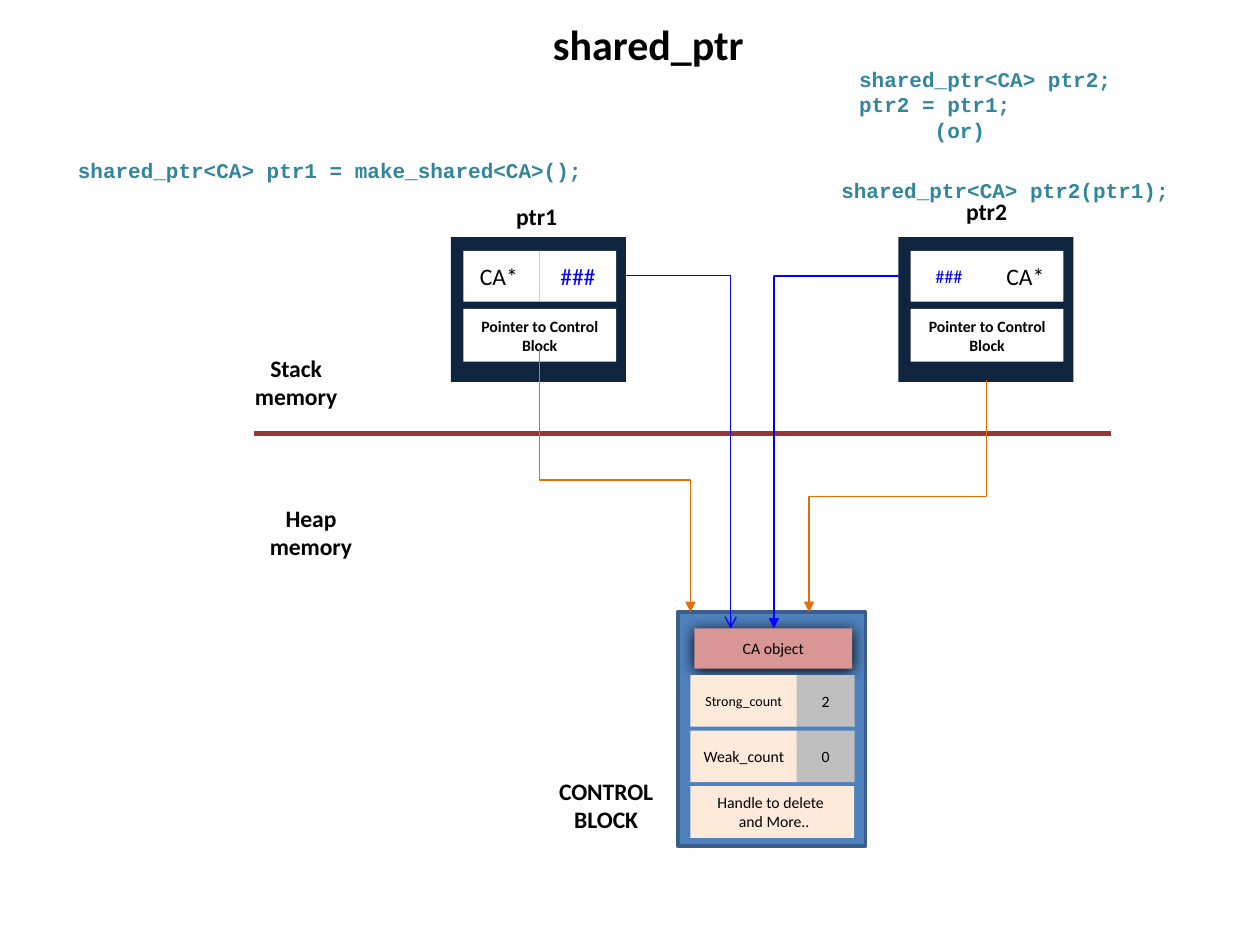
from lxml import etree
from pptx import Presentation
from pptx import util as u
from pptx.dml.color import RGBColor
from pptx.enum import shapes, text
from pptx.oxml import ns

HUE = {
    "navy": "0F243E", "white": "FFFFFF", "black": "000000", "blue": "0000FF",
    "steel": "4F81BD", "edge": "3A5F8C", "rose": "D99694", "peach": "FDEADA",
    "gray": "BFBFBF", "wine": "953735", "orange": "E46C0A", "teal": "31859C",
}


def rgb(hue):
    return RGBColor.from_string(HUE[hue])


def sub(node, tag, **attrs):
    return etree.SubElement(node, ns.qn(tag), **attrs)


def write(frame, lines, size, hue, bold=False, face="Calibri", align="CENTER"):
    frame.word_wrap = True
    for i, line in enumerate(lines):
        para = frame.paragraphs[0] if i == 0 else frame.add_paragraph()
        para.text = line
        para.alignment = text.PP_ALIGN[align]
        para.font.name, para.font.size = face, u.Pt(size)
        para.font.bold = bold
        para.font.color.rgb = rgb(hue)


def box(slide, x, y, w, h, fill, lines=(), size=9, hue="black", bold=False):
    rect = slide.shapes.add_shape(shapes.MSO_SHAPE.RECTANGLE,
                                  u.Cm(x), u.Cm(y), u.Cm(w), u.Cm(h))
    rect.shadow.inherit = False
    rect.fill.solid()
    rect.fill.fore_color.rgb = rgb(fill)
    rect.line.fill.background()
    frame = rect.text_frame
    frame.margin_left = frame.margin_right = u.Cm(0.1)
    frame.margin_top = frame.margin_bottom = u.Cm(0.05)
    frame.vertical_anchor = text.MSO_ANCHOR.MIDDLE
    write(frame, lines, size, hue, bold)
    return rect


def label(slide, x, y, w, h, line, size=13.5):
    area = slide.shapes.add_textbox(u.Cm(x), u.Cm(y), u.Cm(w), u.Cm(h))
    write(area.text_frame, [line], size, "black", True)


def code(slide, x, y, w, h, *lines):
    area = slide.shapes.add_textbox(u.Cm(x), u.Cm(y), u.Cm(w), u.Cm(h))
    write(area.text_frame, lines, 12, "teal", True, "Courier New", "LEFT")


def link(slide, kind, x1, y1, x2, y2, hue, width=0.75, head=None):
    line = slide.shapes.add_connector(kind, u.Cm(x1), u.Cm(y1),
                                      u.Cm(x2), u.Cm(y2))
    line.line.color.rgb = rgb(hue)
    line.line.width = u.Pt(width)
    props = line._element.spPr
    if head:
        sub(props.find(ns.qn("a:ln")), "a:tailEnd", type=head)
    sub(props, "a:effectLst")
    return props


def straight(slide, *args, **opts):
    link(slide, shapes.MSO_CONNECTOR.STRAIGHT, *args, **opts)


def elbow(slide, x1, y1, x2, y2, hue, bend=50000):
    """Run down, across and down: an elbow turned a quarter round its centre."""
    long, wide = y2 - y1, abs(x2 - x1)
    left, top = (x1 + x2 - long) / 2, (y1 + y2 - wide) / 2
    props = link(slide, shapes.MSO_CONNECTOR.ELBOW, left, top,
                 left + long, top + wide, hue, head="triangle")
    frame = props.find(ns.qn("a:xfrm"))
    right = x2 > x1
    frame.set("rot", str((270 if right else 90) * 60000))
    if right:
        frame.set("flipH", "1")
    geom = props.find(ns.qn("a:prstGeom"))
    guides = geom.find(ns.qn("a:avLst"))
    sub(guides, "a:gd", name="adj1", fmla=f"val {bend}")


def pointer(slide, x, y, cells):
    box(slide, x, y, 3.53, 2.92, "navy")
    for i, (word, size, hue) in enumerate(cells):
        box(slide, x + 0.25 + i * 1.54, y + 0.28, 1.54, 1.02, "white",
            [word], size, hue)
    box(slide, x + 0.25, y + 1.45, 3.08, 1.06, "white",
        ["Pointer to Control Block"], bold=True)


def control(slide):
    back = box(slide, 13.67, 12.34, 3.78, 4.72, "steel")
    back.line.color.rgb = rgb("edge")
    back.line.width = u.Pt(2)

    item = box(slide, 14, 12.67, 3.18, 0.81, "rose", ["CA object"])
    glow = item._element.spPr.find(ns.qn("a:effectLst"))
    shade = sub(glow, "a:outerShdw", blurRad=str(u.Pt(8.5)),
                dist=str(u.Pt(1)), dir="5400000", rotWithShape="0")
    sub(shade, "a:srgbClr", val=HUE["black"])

    left, top, step, high = 13.92, 13.61, 1.12, 1.04
    counts = [("Strong_count", 8, "2"), ("Weak_count", 9, "0")]
    for i, (name, size, count) in enumerate(counts):
        y = top + i * step
        box(slide, left, y, 2.15, high, "peach", [name], size)
        box(slide, left + 2.14, y, 1.17, high, "gray", [count])
    box(slide, left, top + 2 * step, 3.3, high, "peach",
        ["Handle to delete ", " and More.."])


def main():
    deck = Presentation()
    deck.slide_width, deck.slide_height = u.Cm(25.4), u.Cm(19.05)
    slide = deck.slides.add_slide(deck.slide_layouts[6])

    # Pointers and the block they share
    pointer(slide, 18.11, 4.78, [("###", 10.5, "blue"), ("CA*", 13.5, "black")])
    pointer(slide, 9.09, 4.78, [("CA* ", 13.5, "black"), ("###", 13.5, "blue")])
    control(slide)

    # Title and labels
    label(slide, 10.72, 0.25, 4.7, 1.27, "shared_ptr", 24)
    for x, y, name in [(10.85, 15.54, "CONTROL BLOCK"),
                       (4.6, 7.01, "Stack memory"),
                       (4.9, 10.03, "Heap memory")]:
        label(slide, x, y, 2.74, 1.42, name)
    label(slide, 10.11, 3.94, 1.42, 0.84, "ptr1")
    label(slide, 19.18, 3.84, 1.42, 0.84, "ptr2")

    # Code
    code(slide, 16.71, 3.45, 7.24, 0.76, "shared_ptr<CA> ptr2(ptr1);")
    code(slide, 1.32, 3.05, 11.28, 0.79,
         "shared_ptr<CA> ptr1 = make_shared<CA>();")
    code(slide, 17.07, 1.22, 5.69, 1.8,
         "shared_ptr<CA> ptr2;", "ptr2 = ptr1;", "      (or)")

    # Border between stack and heap
    straight(slide, 5.13, 8.74, 22.4, 8.74, "wine", width=3)

    # Links to the object
    straight(slide, 12.62, 5.56, 14.73, 5.56, "blue")
    straight(slide, 14.73, 5.56, 14.73, 12.67, "blue", head="arrow")
    elbow(slide, 18.11, 5.56, 15.6, 12.67, "blue", bend=100)

    # Links to the control block
    elbow(slide, 10.87, 7.01, 13.92, 12.34, "orange")
    elbow(slide, 19.89, 7.67, 16.31, 12.34, "orange")

    deck.save("out.pptx")


if __name__ == "__main__":
    main()
